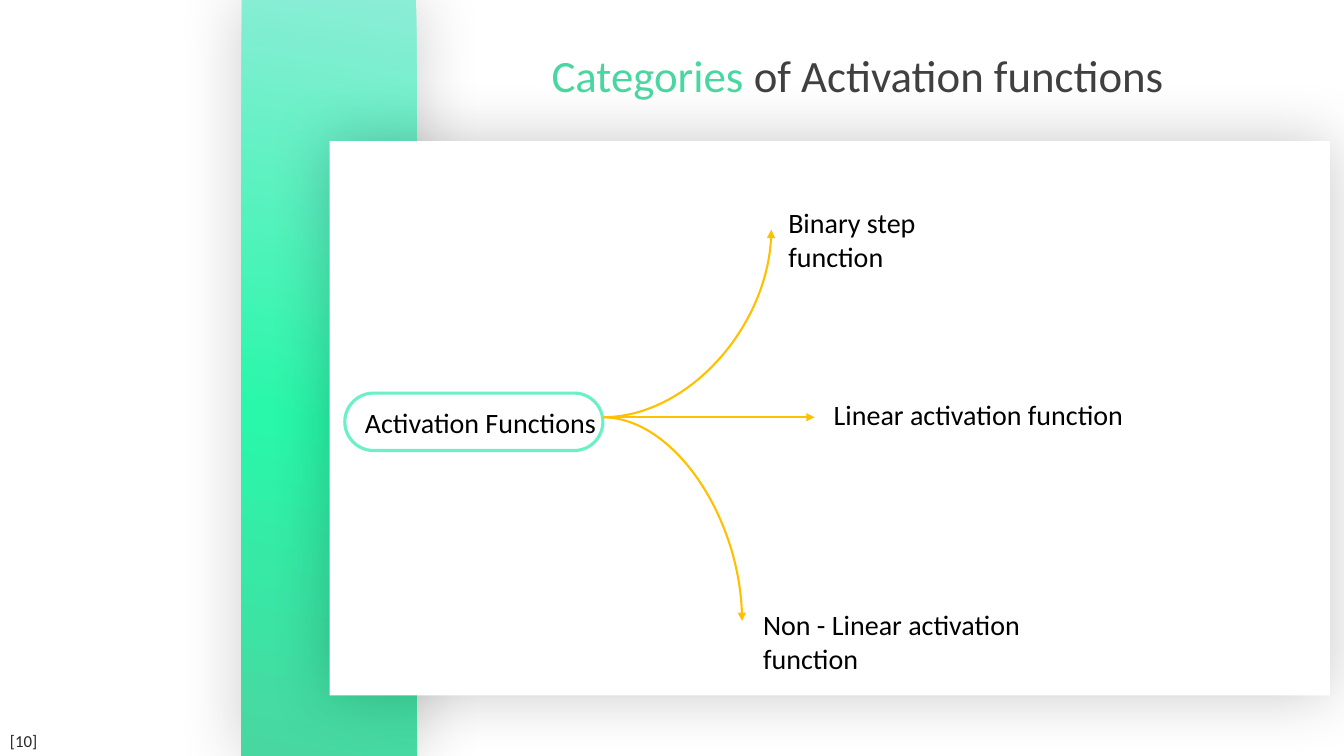
"""Build the slide on the categories of activation functions."""
import copy

import lxml.etree
import pptx
import pptx.dml.color
import pptx.enum.shapes
import pptx.enum.text
import pptx.oxml.ns
import pptx.util

Inches = pptx.util.Inches
Pt = pptx.util.Pt
qn = pptx.oxml.ns.qn
SHAPES = pptx.enum.shapes.MSO_SHAPE
CONNECTORS = pptx.enum.shapes.MSO_CONNECTOR


def rgb(code):
    return pptx.dml.color.RGBColor.from_string(code)


class SlideBuilder:
    FONT = "Calibri"
    GREEN = "49D7A1"
    MINT = "6BF0C7"
    AMBER = "FFC000"

    def __init__(self, slide):
        self.slide = slide
        self.shapes = slide.shapes

    def style(self, run, size, color):
        run.font.name = self.FONT
        run.font.size = Pt(size)
        run.font.color.rgb = rgb(color)

    def title(self, pieces, left, top, width, height):
        heading = self.shapes.title
        heading.left, heading.top = Inches(left), Inches(top)
        heading.width, heading.height = Inches(width), Inches(height)
        frame = heading.text_frame
        frame.word_wrap = False
        frame.auto_size = pptx.enum.text.MSO_AUTO_SIZE.SHAPE_TO_FIT_TEXT
        frame.vertical_anchor = pptx.enum.text.MSO_ANCHOR.TOP
        frame.paragraphs[0].alignment = pptx.enum.text.PP_ALIGN.LEFT
        frame.paragraphs[0].line_spacing = 1.0
        for words, color in pieces:
            run = frame.paragraphs[0].add_run()
            run.text = words
            self.style(run, 32, color)
        self.shapes._spTree.append(heading._element)

    def label(self, words, left, top, width, height=0.44, size=20, color="000000"):
        label = self.shapes.add_textbox(
            Inches(left), Inches(top), Inches(width), Inches(height))
        frame = label.text_frame
        frame.text = words
        frame.word_wrap = True
        frame.auto_size = pptx.enum.text.MSO_AUTO_SIZE.SHAPE_TO_FIT_TEXT
        self.style(frame.paragraphs[0].runs[0], size, color)

    def panel(self, left, top, width, height, fill="FFFFFF", shadow=(21, 45)):
        panel = self.shapes.add_shape(
            SHAPES.RECTANGLE, Inches(left), Inches(top), Inches(width), Inches(height))
        panel.line.fill.background()
        panel.fill.solid()
        panel.fill.fore_color.rgb = rgb(fill)
        panel.shadow.inherit = False
        opacity, blur = shadow
        effects = panel._element.spPr.find(qn("a:effectLst"))
        outer = lxml.etree.SubElement(
            effects, qn("a:outerShdw"), blurRad=str(Pt(blur)), dist="0",
            algn="ctr", rotWithShape="0")
        tint = lxml.etree.SubElement(outer, qn("a:srgbClr"), val="000000")
        lxml.etree.SubElement(tint, qn("a:alpha"), val=str(opacity * 1000))
        return panel

    def gradient_band(self, left, top, width, height, stops, angle):
        band = self.panel(left, top, width, height, shadow=(20, 48))
        band._element.spPr.xfrm.set("flipH", "1")
        band.fill.gradient()
        band.fill.gradient_angle = 360 - angle
        stop_list = band._element.spPr.find(qn("a:gradFill")).find(qn("a:gsLst"))
        while len(stop_list) < len(stops):
            stop_list.append(copy.deepcopy(stop_list[0]))
        for stop, (position, color) in zip(band.fill.gradient_stops, stops):
            stop.position = position
            stop.color.rgb = rgb(color)

    def pill(self, left, top, width, height):
        pill = self.shapes.add_shape(
            SHAPES.ROUNDED_RECTANGLE,
            Inches(left), Inches(top), Inches(width), Inches(height))
        pill.adjustments[0] = 0.5
        pill.fill.background()
        pill.line.color.rgb = rgb(self.MINT)
        pill.line.width = Pt(2.25)
        pill.shadow.inherit = False

    def arrow(self, start, end):
        straight = start[1] == end[1]
        kind = CONNECTORS.STRAIGHT if straight else CONNECTORS.CURVE
        arrow = self.shapes.add_connector(kind, *map(Inches, start + end))
        arrow.line.color.rgb = rgb(self.AMBER)
        arrow.line.width = Pt(1.5)
        properties = arrow._element.spPr
        if not straight:
            properties.find(qn("a:prstGeom")).set("prst", "curvedConnector2")
        lxml.etree.SubElement(
            properties.find(qn("a:ln")), qn("a:tailEnd"), type="triangle")
        lxml.etree.SubElement(properties, qn("a:effectLst"))


def main():
    deck = pptx.Presentation()
    deck.slide_width, deck.slide_height = Inches(13.33), Inches(7.5)
    builder = SlideBuilder(deck.slides.add_slide(deck.slide_layouts[5]))

    builder.gradient_band(
        2.4, 0, 1.73, 7.5,
        [(0, "8BEDD6"), (0.56, "29F7A9"), (1, builder.GREEN)], angle=80)
    builder.panel(3.27, 1.4, 9.92, 5.5)
    builder.label("[10]", 0, 7.2, 0.52, 0.3, size=12, color="262626")
    builder.title(
        [("Categories", builder.GREEN), (" of Activation functions", "404040")],
        5.37, 0.42, 6.29, 0.64)

    builder.pill(3.42, 3.9, 2.56, 0.57)
    builder.label("Activation Functions", 3.52, 3.97, 2.68)

    branch_start = (5.98, 4.14)
    categories = [
        ("Binary step function", (7.65, 2.28), (7.72, 1.99, 2.4)),
        ("Linear activation function", (8.08, 4.14), (8.17, 3.89, 3.31)),
        ("Non - Linear activation function", (7.36, 6.16), (7.47, 5.98, 3.67)),
    ]
    for category, branch_end, place in categories:
        builder.arrow(branch_start, branch_end)
        builder.label(category, *place)

    deck.save("out.pptx")


if __name__ == "__main__":
    main()
